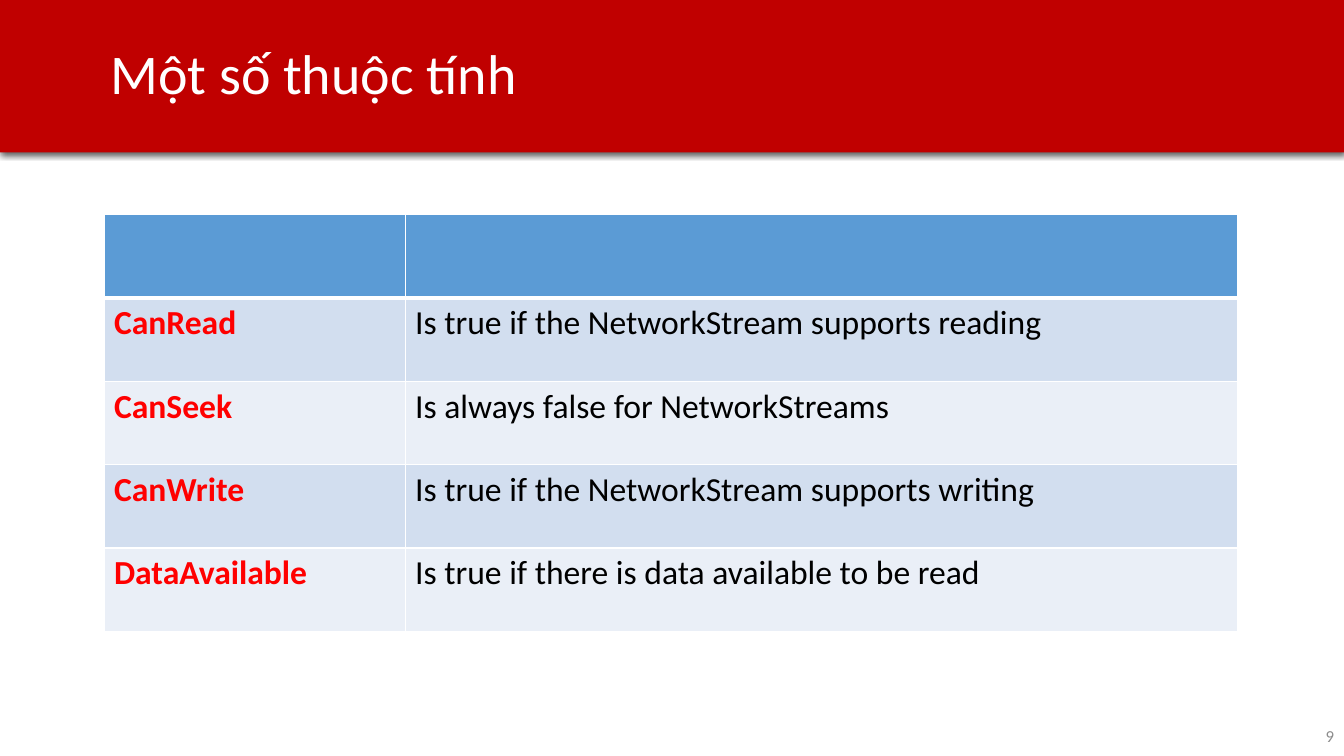
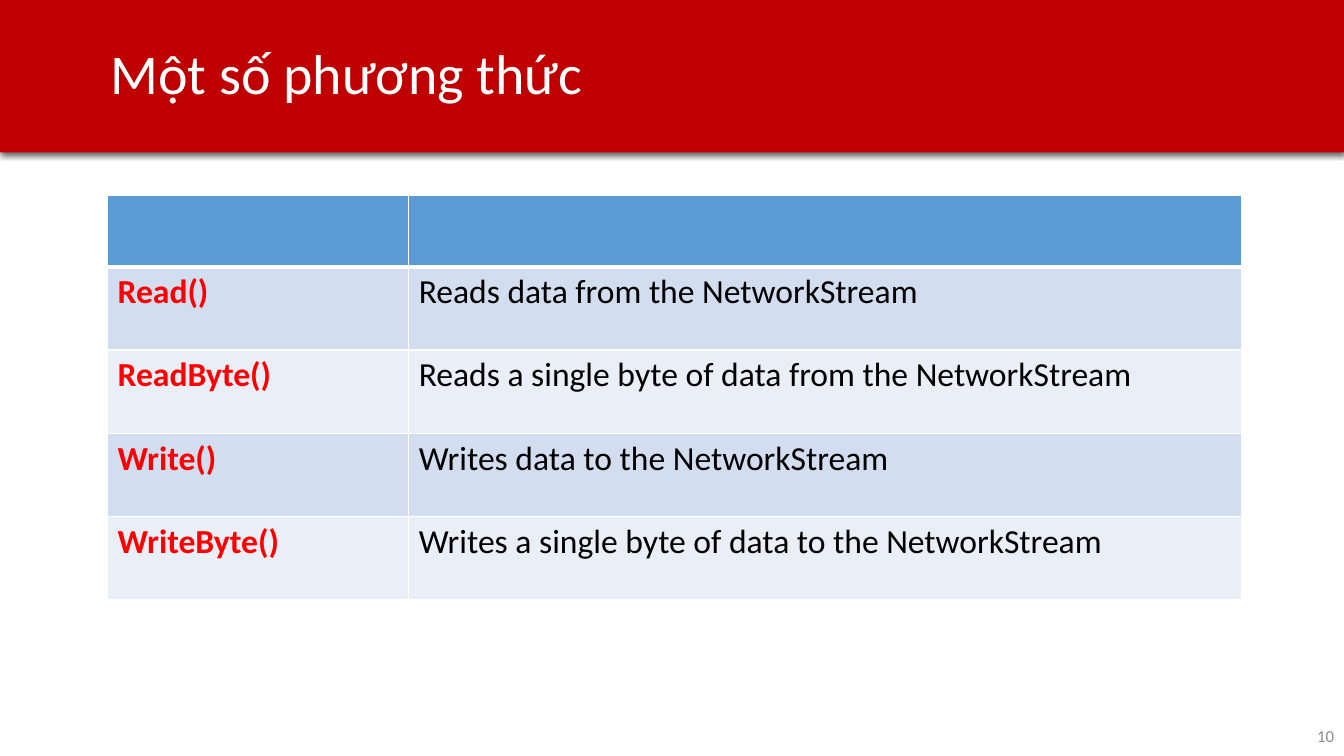
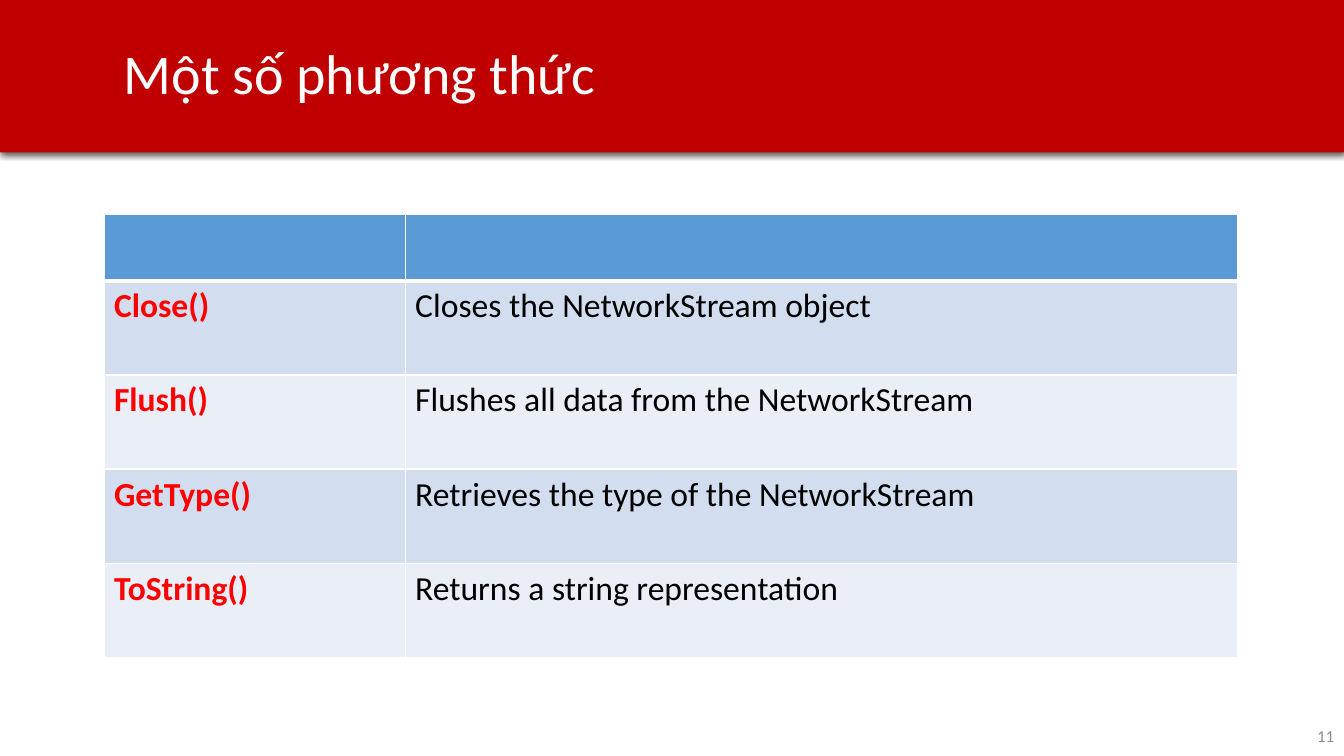
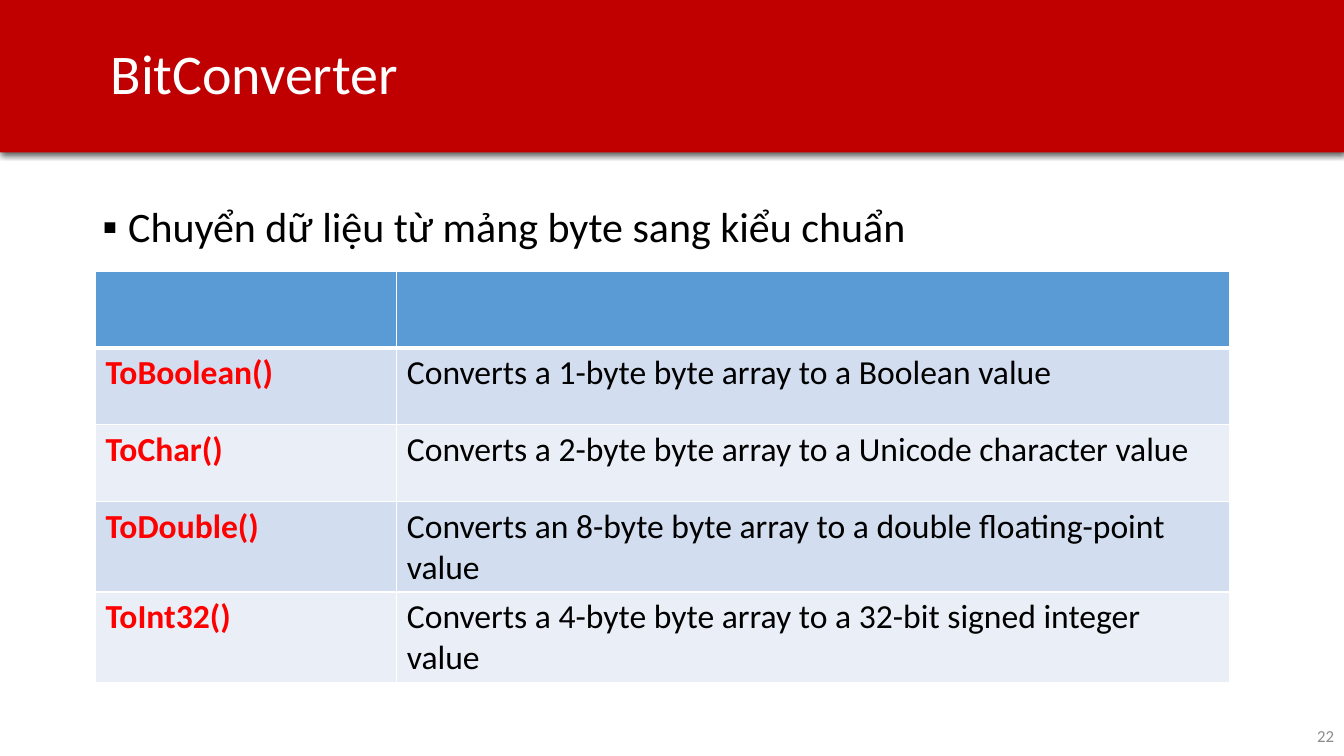
from dataclasses import dataclass

from lxml.etree import SubElement
from pptx import Presentation
from pptx.dml.color import RGBColor
from pptx.enum.shapes import MSO_SHAPE
from pptx.enum.text import MSO_ANCHOR, PP_ALIGN
from pptx.oxml.ns import qn
from pptx.util import Cm, Pt


@dataclass(frozen=True)
class Theme:
    font: str = "Calibri"
    band: str = "C00000"
    header: str = "5B9BD5"
    stripes: tuple = ("D2DEEF", "EAEFF7")
    white: str = "FFFFFF"
    black: str = "000000"
    keyword: str = "FF0000"
    muted: str = "8C8C8C"
    title_size: int = 40
    body_size: int = 30
    table_size: int = 24
    number_size: int = 12
    thin_line: int = 1
    thick_line: int = 3


@dataclass(frozen=True)
class Box:
    """A region of the slide, in centimetres."""
    left: float
    top: float
    width: float
    height: float

    def lengths(self):
        return [Cm(value) for value in (self.left, self.top, self.width, self.height)]


THEME = Theme()
SLIDE = Box(0, 0, 33.87, 19.05)
BAND = Box(0, 0, SLIDE.width, 3.84)
BODY = Box(2.34, 5.08, 29.21, 12.09)
NUMBER = Box(SLIDE.width - 7.62, 18.03, 7.62, 1.02)
COLUMN_WIDTHS = (7.59, 20.98)
TITLE_INDENT = 2.79

SLIDES = [
    {
        "title": "Một số thuộc tính",
        "number": 9,
        "corner": (2.62, 5.41),
        "row_heights": (2.1, 2.1),
        "rows": [
            ("CanRead", "Is true if the NetworkStream supports reading"),
            ("CanSeek", "Is always false for NetworkStreams"),
            ("CanWrite", "Is true if the NetworkStream supports writing"),
            ("DataAvailable", "Is true if there is data available to be read"),
        ],
    },
    {
        "title": "Một số phương thức",
        "number": 10,
        "corner": (2.71, 4.93),
        "row_heights": (1.79, 2.1),
        "rows": [
            ("Read()", "Reads data from the NetworkStream"),
            ("ReadByte()", "Reads a single byte of data from the NetworkStream"),
            ("Write()", "Writes data to the NetworkStream"),
            ("WriteByte()", "Writes a single byte of data to the NetworkStream"),
        ],
    },
    {
        "title": "Một số phương thức",
        "title_indent": 3.12,
        "number": 11,
        "corner": (2.62, 5.41),
        "row_heights": (1.67, 2.37),
        "rows": [
            ("Close()", "Closes the NetworkStream object"),
            ("Flush()", "Flushes all data from the NetworkStream"),
            ("GetType()", "Retrieves the type of the NetworkStream"),
            ("ToString()", "Returns a string representation"),
        ],
    },
    {
        "title": "BitConverter",
        "number": 22,
        "bullet": "Chuyển dữ liệu từ mảng byte sang kiểu chuẩn",
        "corner": (2.41, 6.84),
        "row_heights": (1.93, 1.93),
        "rows": [
            ("ToBoolean()", "Converts a 1-byte byte array to a Boolean value"),
            ("ToChar()", "Converts a 2-byte byte array to a Unicode character value"),
            ("ToDouble()", "Converts an 8-byte byte array to a double floating-point value"),
            ("ToInt32()", "Converts a 4-byte byte array to a 32-bit signed integer value"),
        ],
    },
]


def set_attributes(target, **values):
    for name, value in values.items():
        setattr(target, name, value)


def fill_solid(target, colour):
    target.fill.solid()
    target.fill.fore_color.rgb = RGBColor.from_string(colour)


def write_text(frame, text, size, colour, bold=False, **paragraph_format):
    """Put one run in the frame's first paragraph and return the paragraph."""
    paragraph = frame.paragraphs[0]
    set_attributes(paragraph, **paragraph_format)
    run = paragraph.add_run()
    run.text = text
    set_attributes(run.font, name=THEME.font, size=Pt(size), bold=bold)
    run.font.color.rgb = RGBColor.from_string(colour)
    return paragraph


def add_colour(parent, colour):
    return SubElement(parent, qn("a:srgbClr"), val=colour)


def add_shadow(shape):
    shape.shadow.inherit = False
    effects = shape._element.spPr.find(qn("a:effectLst"))
    shadow = SubElement(effects, qn("a:outerShdw"), blurRad=str(Pt(4.5)),
                        dist=str(Pt(1.5)), dir="5400000", algn="ctr", rotWithShape="0")
    SubElement(add_colour(shadow, THEME.black), qn("a:alpha"), val="63000")


def add_title_band(slide, box, title, indent):
    band = slide.shapes.add_shape(MSO_SHAPE.RECTANGLE, *box.lengths())
    fill_solid(band, THEME.band)
    band.line.fill.background()
    add_shadow(band)
    set_attributes(band.text_frame, word_wrap=True, margin_left=Cm(indent),
                   vertical_anchor=MSO_ANCHOR.MIDDLE)
    write_text(band.text_frame, title, THEME.title_size, THEME.white,
               alignment=PP_ALIGN.LEFT, line_spacing=0.9)


def add_bullet_text(slide, box, text):
    frame = slide.shapes.add_textbox(*box.lengths()).text_frame
    frame.word_wrap = True
    paragraph = write_text(frame, text, THEME.body_size, THEME.black,
                           line_spacing=0.9, space_before=Pt(10))
    properties = paragraph._p.get_or_add_pPr()
    hang = Cm(0.64)
    properties.set("marL", str(hang))
    properties.set("indent", str(-hang))
    SubElement(properties, qn("a:buFont"), typeface="Wingdings")
    SubElement(properties, qn("a:buChar"), char="▪")
    properties.find(qn("a:buFont")).set("typeface", THEME.font)


def add_slide_number(slide, box, number):
    frame = slide.shapes.add_textbox(*box.lengths()).text_frame
    set_attributes(frame, word_wrap=True, vertical_anchor=MSO_ANCHOR.MIDDLE)
    write_text(frame, str(number), THEME.number_size, THEME.muted,
               alignment=PP_ALIGN.RIGHT)


def add_cell_borders(cell, **widths):
    """Draw white borders; widths may override the sides L, R, T and B."""
    properties = cell._tc.get_or_add_tcPr()
    for side in "LRTB":
        width = Pt(widths.get(side, THEME.thin_line))
        line = SubElement(properties, qn(f"a:ln{side}"), w=str(width))
        add_colour(SubElement(line, qn("a:solidFill")), THEME.white)


def add_member_table(slide, box, rows, header_height):
    """Draw an empty header row over equal, striped rows of name and meaning."""
    table = slide.shapes.add_table(len(rows) + 1, len(COLUMN_WIDTHS), *box.lengths()).table
    set_attributes(table, first_row=False, horz_banding=False)
    for column, width in zip(table.columns, COLUMN_WIDTHS):
        column.width = Cm(width)
    row_height = (box.height - header_height) / len(rows)
    for index, row in enumerate(table.rows):
        row.height = Cm(row_height if index else header_height)

    for cell in table.rows[0].cells:
        add_cell_borders(cell, B=THEME.thick_line)
        fill_solid(cell, THEME.header)
    styles = ((THEME.keyword, True), (THEME.black, False))
    for index, texts in enumerate(rows):
        top_line = THEME.thin_line if index else THEME.thick_line
        for cell, text, style in zip(table.rows[index + 1].cells, texts, styles):
            add_cell_borders(cell, T=top_line)
            fill_solid(cell, THEME.stripes[index % 2])
            write_text(cell.text_frame, text, THEME.table_size, *style)


def add_member_slide(presentation, content):
    slide = presentation.slides.add_slide(presentation.slide_layouts[6])
    add_title_band(slide, BAND, content["title"], content.get("title_indent", TITLE_INDENT))
    if "bullet" in content:
        add_bullet_text(slide, BODY, content["bullet"])
    add_slide_number(slide, NUMBER, content["number"])
    header_height, row_height = content["row_heights"]
    rows = content["rows"]
    box = Box(*content["corner"], sum(COLUMN_WIDTHS), header_height + row_height * len(rows))
    add_member_table(slide, box, rows, header_height)


def main():
    presentation = Presentation()
    set_attributes(presentation, slide_width=Cm(SLIDE.width), slide_height=Cm(SLIDE.height))
    for content in SLIDES:
        add_member_slide(presentation, content)
    presentation.save("out.pptx")


if __name__ == "__main__":
    main()
